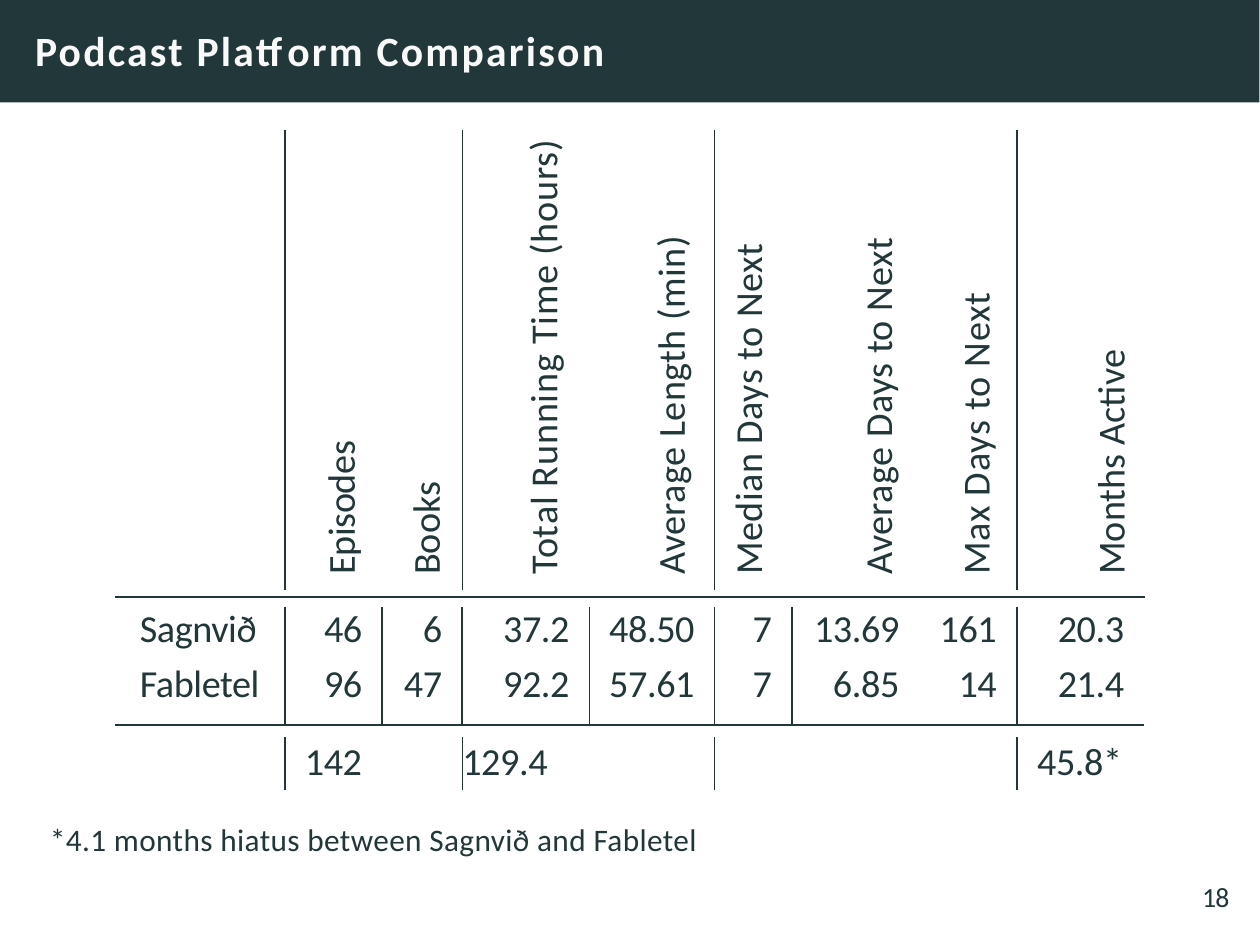
import pptx
import pptx.util
import pptx.dml.color
import pptx.enum.shapes
import pptx.enum.text
from lxml import etree
from pptx.oxml.ns import qn

Inches = pptx.util.Inches
Pt = pptx.util.Pt
Align = pptx.enum.text.PP_ALIGN
DARK = pptx.dml.color.RGBColor(0x22, 0x37, 0x3A)
PALE = pptx.dml.color.RGBColor(0xF9, 0xF9, 0xF9)
FONT = "Calibri"

LEFT, RIGHT = 0.46, 4.58
WIDTHS = [0.68, 0.39, 0.32, 0.51, 0.5, 0.31, 0.51, 0.39, 0.51]
HEIGHTS = [0.22, 0.25]
ROWS = [
    ["Sagnvið", "46", "6", "37.2", "48.50", "7", "13.69", "161", "20.3"],
    ["Fabletel", "96", "47", "92.2", "57.61", "7", "6.85", "14", "21.4"],
]
OPEN_COLS = (6, 8)  # columns without a rule on their right
RULES = [1.14, 1.85, 2.86, 4.07]
SPANS = [(0.52, 2.36), (2.95, 3.16)]
BASE = 2.3  # foot of the upright labels
# text, left, length, letter spacing
LABELS = [
    ("Episodes", 1.27, 0.56, -0.1),
    ("Books", 1.61, 0.44, 0),
    ("Total Running Time (hours)", 2.08, 1.8, 0.2),
    ("Average Length (min)", 2.59, 1.4, 0.1),
    ("Median Days to Next", 2.9, 1.4, 0.1),
    ("Average Days to Next", 3.42, 1.4, 0.1),
    ("Max Days to Next", 3.81, 1.18, 0.2),
    ("Months Active", 4.35, 0.94, 0),
]
TOTALS = [("142", 1.22), ("129.4", 1.85), ("45.8*", 4.15)]


def style(frame, text, size, space=0, color=DARK, bold=False, align=Align.LEFT):
    frame.text = text
    frame.word_wrap = True
    frame.vertical_anchor = pptx.enum.text.MSO_ANCHOR.TOP
    frame.margin_left = frame.margin_right = 0
    frame.margin_top = frame.margin_bottom = 0
    para = frame.paragraphs[0]
    para.alignment = align
    for run in para.runs:
        run.font.name = FONT
        run.font.size = Pt(size)
        run.font.bold = bold
        run.font.color.rgb = color
        run._r.get_or_add_rPr().set("spc", str(round(space * 100)))
    return para


def add_text(slide, text, left, top, width, height, size, space=0):
    box = slide.shapes.add_textbox(
        Inches(left), Inches(top), Inches(width), Inches(height))
    style(box.text_frame, text, size, space)
    return box


def add_label(slide, text, left, length, space):
    box = add_text(slide, text, left, BASE - length, 0.21, length, 11, space)
    box.text_frame.paragraphs[0].line_spacing = Pt(13)
    box.text_frame._txBody.bodyPr.set("vert", "vert270")


def add_rule(slide, x1, y1, x2, y2, width=0.4):
    line = slide.shapes.add_connector(
        pptx.enum.shapes.MSO_CONNECTOR.STRAIGHT,
        Inches(x1), Inches(y1), Inches(x2), Inches(y2))
    line.line.color.rgb = DARK
    line.line.width = Pt(width)
    etree.SubElement(line._element.spPr, qn("a:effectLst"))


def add_border(cell, side, width):
    line = etree.SubElement(cell._tc.get_or_add_tcPr(), qn("a:ln" + side))
    if width:
        line.set("w", str(Pt(width)))
        fill = etree.SubElement(line, qn("a:solidFill"))
        etree.SubElement(fill, qn("a:srgbClr")).set("val", str(DARK))
    else:
        etree.SubElement(line, qn("a:noFill"))


def add_header(slide):
    bar = slide.shapes.add_shape(
        pptx.enum.shapes.MSO_SHAPE.RECTANGLE, 0, 0, Inches(5.04), Inches(0.41))
    bar.shadow.inherit = False
    bar.fill.solid()
    bar.fill.fore_color.rgb = DARK
    bar.line.fill.background()
    title = slide.shapes.title
    title.left, title.top = Inches(0.14), Inches(0.08)
    title.width, title.height = Inches(2.5), Inches(0.23)
    style(title.text_frame, "Podcast Platform Comparison", 12, 0.65, PALE, True)
    title.text_frame.margin_top = Inches(0.02)
    # Raise the title above the bar
    title.element.getparent().append(title.element)


def add_grid(slide):
    frame = slide.shapes.add_table(
        len(ROWS), len(WIDTHS), Inches(LEFT), Inches(2.43),
        Inches(sum(WIDTHS)), Inches(sum(HEIGHTS)))
    grid = frame.table
    grid.first_row = grid.horz_banding = False
    for col, width in zip(grid.columns, WIDTHS):
        col.width = Inches(width)
    last = len(ROWS) - 1
    for r, values in enumerate(ROWS):
        grid.rows[r].height = Inches(HEIGHTS[r])
        for c, value in enumerate(values):
            cell = grid.cell(r, c)
            align = Align.RIGHT if c else Align.LEFT
            para = style(cell.text_frame, value, 11, -0.15, align=align)
            para.line_spacing = Pt(13.2)
            cell.margin_left = Inches(0 if c else 0.1)
            cell.margin_right = Inches(0.08 if c else 0)
            cell.margin_top = cell.margin_bottom = 0
            add_border(cell, "L", 0.5 if c and c - 1 not in OPEN_COLS else 0)
            add_border(cell, "R", 0 if c in OPEN_COLS else 0.5)
            add_border(cell, "T", 0)
            add_border(cell, "B", 0.75 if r == last else 0)
            cell.fill.background()


def main():
    deck = pptx.Presentation()
    deck.slide_width, deck.slide_height = Pt(363), Pt(272.5)
    slide = deck.slides.add_slide(deck.slide_layouts[5])

    # Title bar
    add_header(slide)

    # Upright column labels and rules
    for label in LABELS:
        add_label(slide, *label)
    for top, foot in SPANS:
        for x in RULES:
            add_rule(slide, x, top, x, foot)
    add_rule(slide, LEFT, 2.39, RIGHT, 2.39, 0.54)

    # Values and totals
    add_grid(slide)
    for text, left in TOTALS:
        add_text(slide, text, left, 2.95, 0.45, 0.19, 11, -0.15)

    # Footnote and page number
    add_text(slide, "*4.1 months hiatus between Sagnvið and Fabletel",
             0.2, 3.28, 2.8, 0.16, 9, 0.1)
    add_text(slide, "18", 4.81, 3.52, 0.18, 0.14, 8, -0.2)

    deck.save("out.pptx")


if __name__ == "__main__":
    main()
